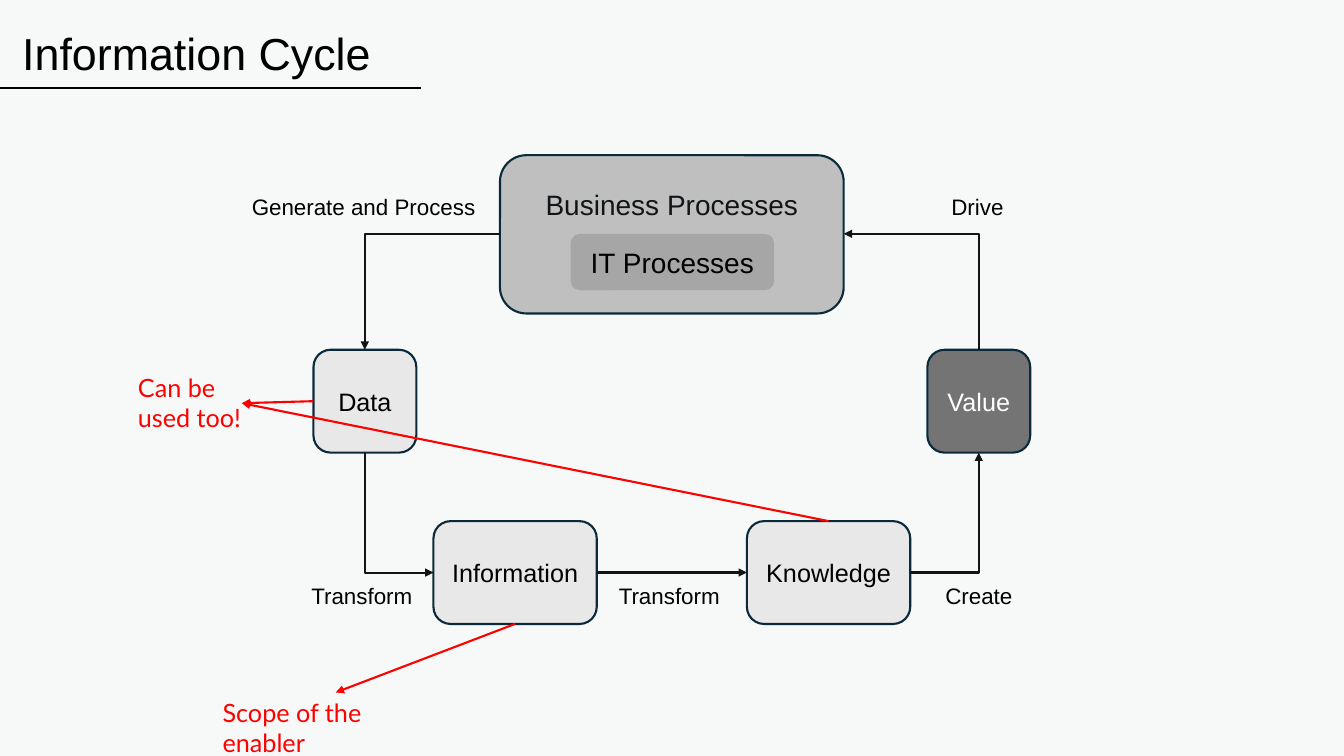
from lxml import etree
from pptx import Presentation
from pptx import util as u
from pptx.dml.color import RGBColor
from pptx.enum import shapes, text
from pptx.oxml import ns

PX = 9144
HUE = {
    "back": "F7F9F9", "black": "000000", "ink": "121517", "edge": "092A39",
    "pale": "E8E8E8", "mid": "BFBFBF", "gray": "A6A6A6", "dark": "747474",
    "white": "FFFFFF", "red": "FF0000",
}


def px(n):
    return u.Emu(round(n * PX))


def color(name):
    return RGBColor.from_string(HUE[name])


def style(frame, words, size, hue, font="Arial", align=text.PP_ALIGN.LEFT):
    frame.text = words
    para = frame.paragraphs[0]
    para.alignment = align
    face = para.runs[0].font
    face.size, face.name = u.Pt(size), font
    face.color.rgb = color(hue)


def title(slide, words):
    head = slide.shapes.title
    head.left, head.top, head.width, head.height = map(px, (12, 20, 405, 64))
    style(head.text_frame, words, 32, "black")
    head.text_frame.auto_size = text.MSO_AUTO_SIZE.NONE
    head.text_frame.vertical_anchor = text.MSO_ANCHOR.TOP


def box(slide, words, x, y, w, h, fill, size=18, hue="black", edge=True):
    node = slide.shapes.add_shape(
        shapes.MSO_SHAPE.ROUNDED_RECTANGLE, *map(px, (x, y, w, h)))
    node.shadow.inherit = False
    node.fill.solid()
    node.fill.fore_color.rgb = color(fill)
    if edge:
        node.line.color.rgb = color("edge")
        node.line.width = u.Pt(1.5)
    else:
        node.line.fill.background()
    style(node.text_frame, words, size, hue, align=text.PP_ALIGN.CENTER)
    node.text_frame.vertical_anchor = text.MSO_ANCHOR.MIDDLE
    return node


def label(slide, words, x, y, w, h=37, size=16, hue="black", font="Arial",
          wrap=False):
    area = slide.shapes.add_textbox(*map(px, (x, y, w, h)))
    style(area.text_frame, words, size, hue, font)
    area.text_frame.word_wrap = wrap


def line(slide, start, end, hue, head=True):
    link = slide.shapes.add_connector(
        shapes.MSO_CONNECTOR.STRAIGHT, *map(px, start + end))
    link.line.color.rgb = color(hue)
    link.line.width = u.Pt(1.5)
    if head:
        tip = etree.SubElement(link.line._get_or_add_ln(), ns.qn("a:tailEnd"))
        tip.set("type", "triangle")
    etree.SubElement(link._element.spPr, ns.qn("a:effectLst"))
    return link


def bend(slide, start, end, upright=False):
    if upright:
        mx, my = (start[0] + end[0]) / 2, (start[1] + end[1]) / 2
        dx, dy = (end[0] - start[0]) / 2, (end[1] - start[1]) / 2
        start, end = (mx + dy, my - dx), (mx - dy, my + dx)
    link = line(slide, start, end, "ink")
    props = link._element.spPr
    props.find(ns.qn("a:prstGeom")).set("prst", "bentConnector2")
    if upright:
        props.find(ns.qn("a:xfrm")).set("rot", "16200000")


def main():
    deck = Presentation()
    deck.slide_width, deck.slide_height = u.Inches(13.333), u.Inches(7.5)
    slide = deck.slides.add_slide(deck.slide_layouts[5])
    slide.background.fill.solid()
    slide.background.fill.fore_color.rgb = color("back")

    title(slide, "Information Cycle")
    line(slide, (0, 87), (418, 87), "black", head=False)

    work = box(slide, "Business Processes", 496, 154, 341, 157, "mid", 20, "ink")
    work.text_frame.vertical_anchor = text.MSO_ANCHOR.TOP
    work.text_frame.margin_top = px(24)
    box(slide, "IT Processes", 566, 232, 202, 56, "gray", 20, edge=False)
    box(slide, "Data", 311, 347, 102, 102, "pale")
    box(slide, "Information", 430, 517, 162, 102, "pale")
    box(slide, "Knowledge", 741, 517, 162, 102, "pale")
    box(slide, "Value", 920, 347, 102, 102, "dark", hue="white")

    bend(slide, (496, 232), (362, 347))
    bend(slide, (362, 449), (430, 568), upright=True)
    line(slide, (592, 568), (741, 568), "ink")
    bend(slide, (903, 568), (971, 449))
    bend(slide, (971, 347), (837, 232), upright=True)

    for words, x, y, w in (
        ("Generate and Process", 240, 187, 244),
        ("Transform", 299, 573, 125),
        ("Transform", 604, 573, 125),
        ("Create", 928, 573, 87),
        ("Drive", 934, 187, 73),
    ):
        label(slide, words, x, y, w)

    for start, end in (
        ((511, 619), (333, 687)),
        ((311, 398), (240, 400)),
        ((822, 517), (240, 400)),
    ):
        line(slide, start, end, "red")
    for words, x, y, w, h in (
        ("Scope of the enabler", 211, 687, 242, 40),
        ("Can be used too!", 127, 364, 129, 71),
    ):
        label(slide, words, x, y, w, h, 18, "red", "Lato", wrap=True)

    deck.save("out.pptx")


if __name__ == "__main__":
    main()
